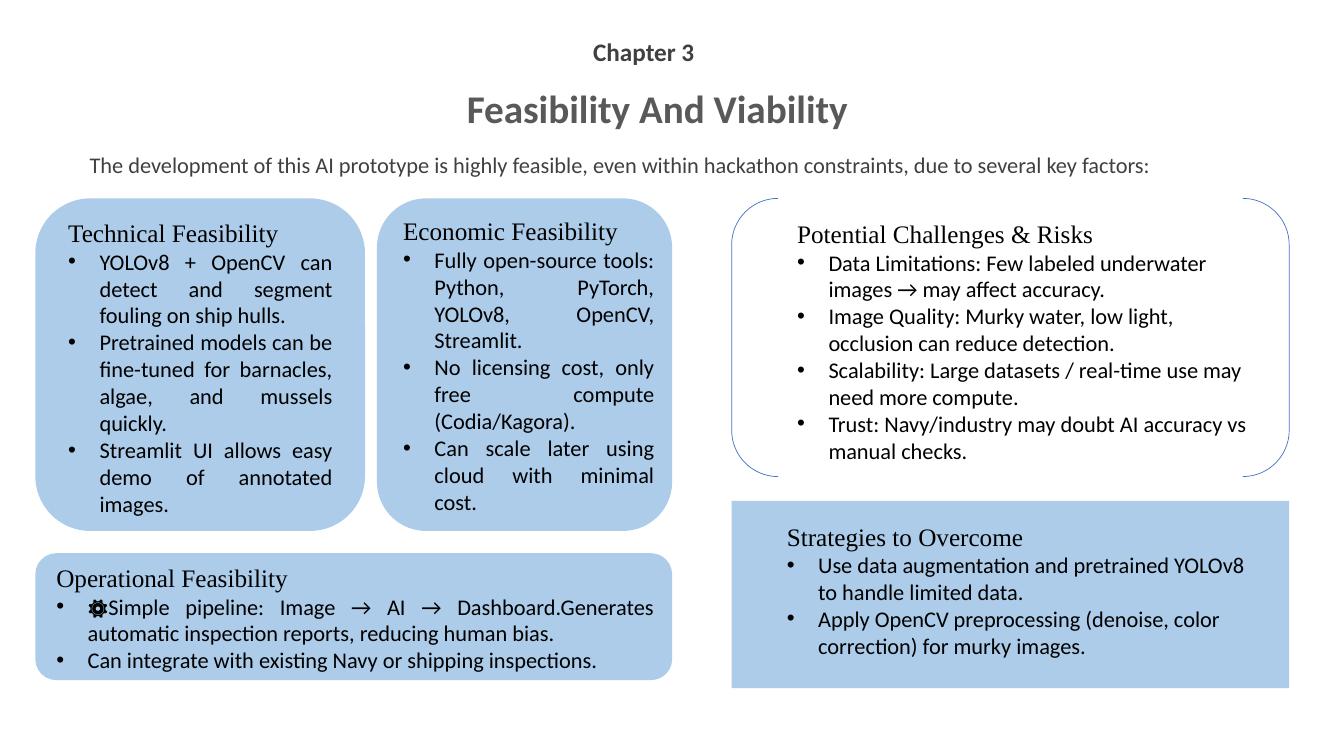
from pptx import Presentation
from pptx.dml.color import RGBColor
from pptx.enum.shapes import MSO_SHAPE as Preset
from pptx.enum.text import MSO_ANCHOR as Anchor, MSO_AUTO_SIZE as AutoSize, PP_ALIGN as Align
from pptx.oxml.ns import qn
from pptx.util import Cm, Pt
from lxml.etree import SubElement

PANEL_BLUE = RGBColor(0x5B, 0x9B, 0xD5)
BRACKET_BLUE = RGBColor(0x44, 0x72, 0xC4)
TITLE_GREY = RGBColor(0x59, 0x59, 0x59)
TEXT_GREY = RGBColor(0x40, 0x40, 0x40)
BLACK = RGBColor(0, 0, 0)

BODY_FONT = "Calibri"
HEADING_FONT = "Times New Roman"
BULLET_INDENT = Cm(0.79)

PANELS = [
    (Preset.ROUNDED_RECTANGLE, (9.5, 5, 7.44, 8.38)),
    (Preset.ROUNDED_RECTANGLE, (0.89, 13.94, 16.05, 3.2)),
    (Preset.ROUNDED_RECTANGLE, (0.89, 5, 8.31, 8.38)),
    (Preset.FLOWCHART_PREDEFINED_PROCESS, (18.44, 12.62, 14.05, 4.72)),
]
RISK_BRACKETS = (18.44, 5, 14.05, 7.01)

SECTIONS = [
    ("Technical Feasibility", (1.47, 5.36, 7.16, 7.87), Align.JUSTIFY, [
        "YOLOv8 + OpenCV can detect and segment fouling on ship hulls.",
        "Pretrained models can be fine-tuned for barnacles, algae, and mussels quickly.",
        "Streamlit UI allows easy demo of annotated images.",
    ]),
    ("Operational Feasibility", (1.17, 14.05, 15.57, 3.07), Align.JUSTIFY, [
        "⚙Simple pipeline: Image → AI → Dashboard.Generates automatic inspection reports, "
        "reducing human bias.",
        "Can integrate with existing Navy or shipping inspections.",
    ]),
    ("Potential Challenges & Risks", (19.84, 5.38, 11.84, 6.5), Align.LEFT, [
        "Data Limitations: Few labeled underwater images → may affect accuracy.",
        "Image Quality: Murky water, low light, occlusion can reduce detection.",
        "Scalability: Large datasets / real-time use may need more compute.",
        "Trust: Navy/industry may doubt AI accuracy vs manual checks.",
    ]),
    ("Economic Feasibility", (9.91, 5.31, 6.83, 8.64), Align.JUSTIFY, [
        "Fully open-source tools: Python, PyTorch, YOLOv8, OpenCV, Streamlit.",
        "No licensing cost, only free compute (Codia/Kagora).",
        "Can scale later using cloud with minimal cost.",
    ]),
    ("Strategies to Overcome", (19.58, 13, 12.32, 3.76), Align.LEFT, [
        "Use data augmentation and pretrained YOLOv8 to handle limited data.",
        "Apply OpenCV preprocessing (denoise, color correction) for murky images.",
    ]),
]


def place(shape, area):
    shape.left, shape.top, shape.width, shape.height = map(Cm, area)


def add_preset(page, preset, area):
    shape = page.shapes.add_shape(preset, *map(Cm, area))
    shape.shadow.inherit = False
    return shape


def add_panel(page, preset, area):
    panel = add_preset(page, preset, area)
    panel.fill.solid()
    panel.fill.fore_color.rgb = PANEL_BLUE
    color = panel.fill._xPr.find(".//" + qn("a:srgbClr"))
    SubElement(color, qn("a:alpha"), val="50000")
    panel.line.fill.background()


def add_brackets(page, area):
    brackets = add_preset(page, Preset.DOUBLE_BRACKET, area)
    brackets.fill.background()
    brackets.line.color.rgb = BRACKET_BLUE
    brackets.line.width = Pt(0.5)


def format_span(para, name, size, color, bold=False):
    for span in para.runs:
        span.font.name = name
        span.font.size = Pt(size)
        span.font.color.rgb = color
        span.font.bold = bold


def fill_header(box, text, size, color, spacing, align, bold):
    frame = box.text_frame
    frame.text = text
    frame.word_wrap = False
    frame.auto_size = AutoSize.NONE
    frame.vertical_anchor = Anchor.TOP
    frame.margin_left = frame.margin_right = frame.margin_top = frame.margin_bottom = 0
    para = frame.paragraphs[0]
    para.alignment = align
    para.line_spacing = Pt(spacing)
    para.space_before = Pt(0)
    format_span(para, BODY_FONT, size, color, bold)


def add_bullet(para):
    properties = para._p.get_or_add_pPr()
    properties.set("marL", str(BULLET_INDENT))
    properties.set("indent", str(-BULLET_INDENT))
    SubElement(properties, qn("a:buFont"), typeface="Arial")
    SubElement(properties, qn("a:buChar"), char="•")


def add_section(page, heading, area, align, points):
    frame = page.shapes.add_textbox(*map(Cm, area)).text_frame
    frame.word_wrap = True
    frame.text = heading
    para = frame.paragraphs[0]
    para.alignment = align
    format_span(para, HEADING_FONT, 18, BLACK)
    for point in points:
        para = frame.add_paragraph()
        para.text = point
        para.alignment = align
        add_bullet(para)
        format_span(para, BODY_FONT, 16, BLACK)


def main():
    deck = Presentation()
    deck.slide_width, deck.slide_height = Cm(33.87), Cm(19.05)
    page = deck.slides.add_slide(deck.slide_layouts[5])

    for preset, area in PANELS:
        add_panel(page, preset, area)
    add_brackets(page, RISK_BRACKETS)

    title = page.shapes.title
    place(title, (8.69, 1.27, 15.75, 2.06))
    fill_header(title, "Feasibility And Viability", 28, TITLE_GREY, 58, Align.CENTER, True)

    chapter = page.shapes.add_textbox(*map(Cm, (12.29, 0.66, 7.87, 1.02)))
    fill_header(chapter, "Chapter 3", 18, TEXT_GREY, 29, Align.CENTER, True)

    intro = page.shapes.add_textbox(*map(Cm, (2.26, 3.68, 30, 0.81)))
    fill_header(
        intro,
        "The development of this AI prototype is highly feasible, even within hackathon "
        "constraints, due to several key factors:",
        16, TEXT_GREY, 23, Align.LEFT, False)
    intro.text_frame.word_wrap = True

    for section in SECTIONS:
        add_section(page, *section)
    deck.save("out.pptx")


if __name__ == "__main__":
    main()
